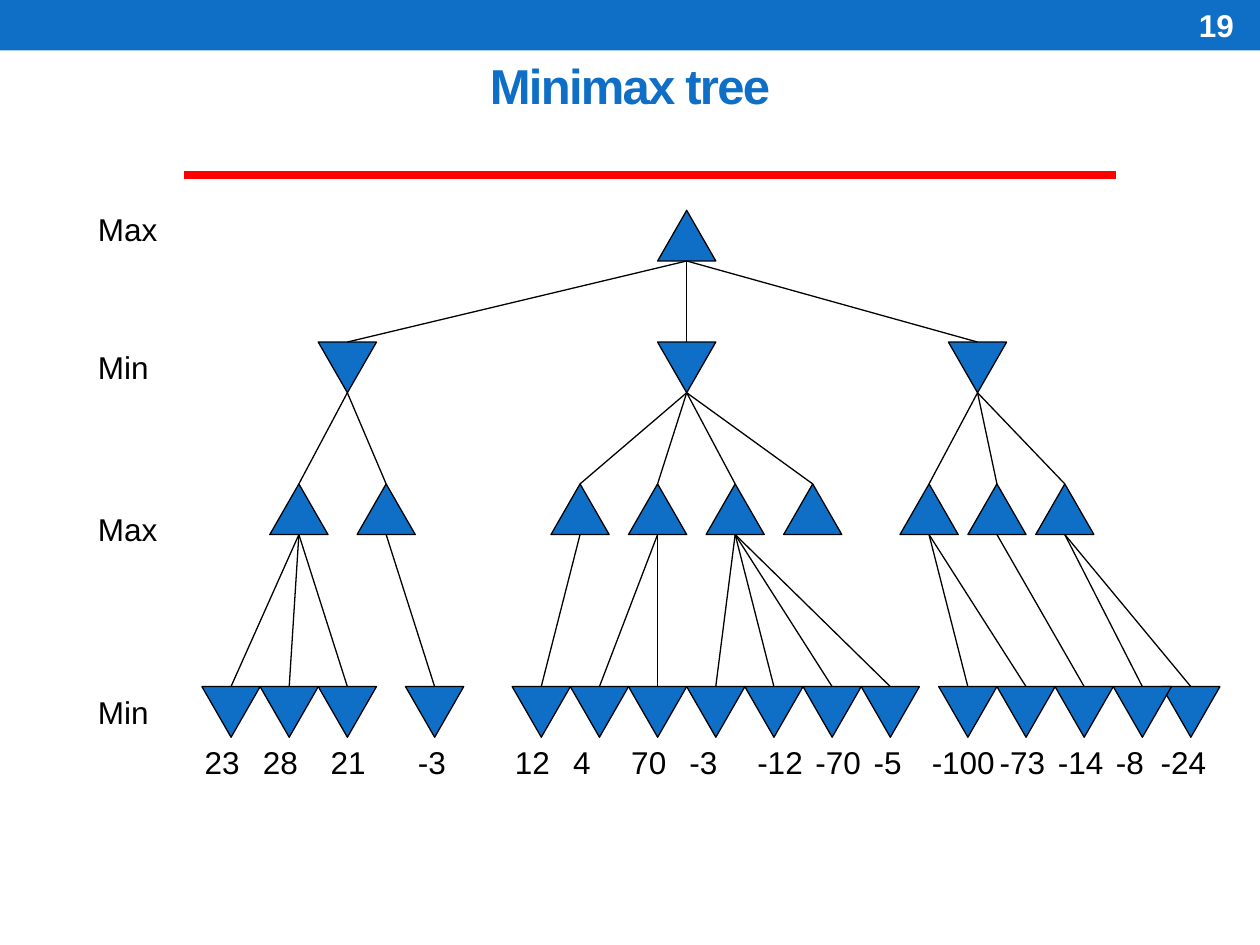
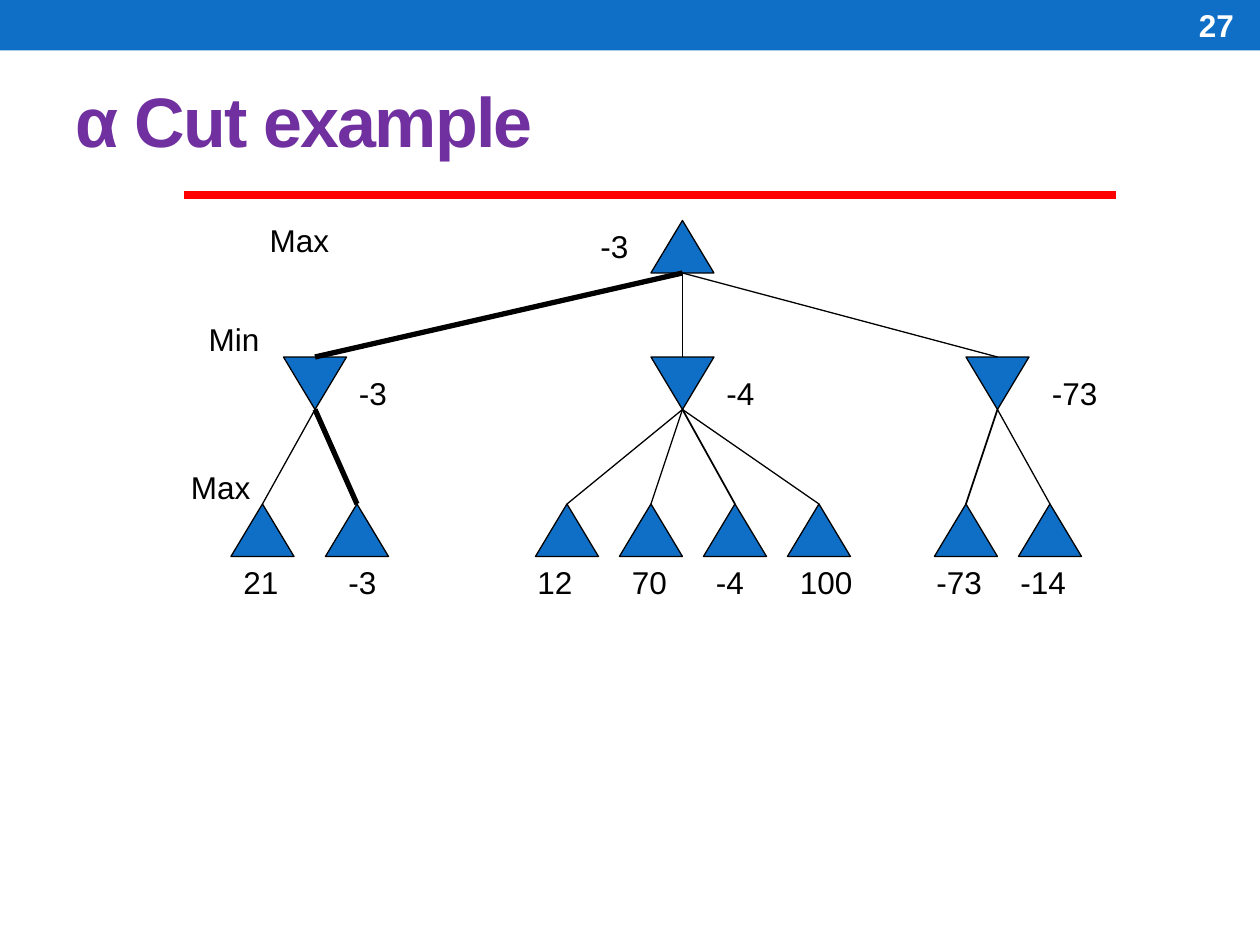
from dataclasses import dataclass

from lxml import etree
from pptx import Presentation
from pptx.dml.color import RGBColor
from pptx.enum.shapes import MSO_CONNECTOR, MSO_SHAPE
from pptx.enum.text import MSO_ANCHOR, MSO_AUTO_SIZE, PP_ALIGN
from pptx.oxml.ns import qn
from pptx.util import Pt

RECT, TRI = MSO_SHAPE.RECTANGLE, MSO_SHAPE.ISOSCELES_TRIANGLE
LINE = MSO_CONNECTOR.STRAIGHT
MID, LOW, TOP = MSO_ANCHOR.MIDDLE, MSO_ANCHOR.BOTTOM, MSO_ANCHOR.TOP
LEFT, MIDST = PP_ALIGN.LEFT, PP_ALIGN.CENTER
GROW = MSO_AUTO_SIZE.SHAPE_TO_FIT_TEXT

# Content: tree positions are grid steps from the tip of the root.
# Each node is (x, index of its parent in the level above).
ROOT = [(0, None)]
MINS = [(-35, 0), (0, 0), (30, 0)]
LEFTS = [(-40, 0), (-31, 0), (-11, 1), (-3, 1), (5, 1), (13, 1)]

SLIDES = [
    dict(
        page="19", title="Minimax tree", size=28, color="blue",
        align=MIDST, anchor=MID, box=(36, 3.6, 648, 90), rule=100,
        root=(392.4, 120.2), step=(5.54, 5.79), scale=1.08, high=35,
        levels=[
            ROOT,
            MINS,
            LEFTS + [(25, 2), (32, 2), (39, 2)],
            [(-47, 0), (-41, 0), (-35, 0), (-26, 1), (-15, 2), (-9, 3),
             (-3, 3), (3, 4), (9, 4), (15, 4), (21, 4), (29, 6), (35, 6),
             (41, 7), (47, 8), (52, 8)],
        ],
        wide={},
        # Rows of labels: (top, [(left, text), ...])
        labels=[
            (-0.6, [(-62, "Max")]),
            (13, [(-62, "Min")]),
            (29, [(-62, "Max")]),
            (47, [(-62, "Min")]),
            (52, [(-51, "23"), (-45, "28"), (-38, "21"), (-29, "-3"),
                  (-19, "12"), (-13, "4"), (-7, "70"), (-1, "-3"),
                  (6, "-12"), (12, "-70"), (18, "-5"), (24, "-100"),
                  (31, "-73"), (37, "-14"), (43, "-8"), (47.6, "-24")]),
        ],
    ),
    dict(
        page="27", title="α Cut example", size=40, color="purple",
        align=LEFT, anchor=LOW, box=(36, 18, 648, 78), rule=111.6,
        root=(390, 126), step=(6, 6), scale=1, high=29,
        levels=[ROOT, MINS, LEFTS + [(27, 2), (35, 2)]],
        # Line widths by (level, index) of the lower node
        wide={(1, 0): 3, (2, 1): 3, (2, 4): 1, (2, 6): 1},
        labels=[
            (-0.5, [(-40.5, "Max")]),
            (0, [(-9, "-3")]),
            (8.9, [(-46.3, "Min")]),
            (14, [(-32, "-3"), (3, "-4"), (34, "-73")]),
            (23, [(-48, "Max")]),
            (32, [(-43, "21"), (-33, "-3"), (-15, "12"), (-6, "70"),
                  (2, "-4"), (10, "100"), (23, "-73"), (31, "-14")]),
        ],
    ),
]

TOPS = (0, 13, 27, 47)   # grid rows of the levels
WIDE, HIGH = 6, 5        # triangle size in grid steps
GLYPH = {"-": 6, "M": 15, "x": 9, "i": 4}  # widths at 18 pt, else 10


@dataclass
class Theme:
    font: str = "Arial"
    blue: str = "0F6FC6"
    purple: str = "7030A0"
    black: str = "000000"
    white: str = "FFFFFF"
    red: str = "FF0000"
    body: float = 18
    thin: float = 0.75
    thick: float = 4.5


THEME = Theme()


def rgb(name):
    return RGBColor.from_string(getattr(THEME, name))


def add_text(slide, text, box, size=THEME.body, color="black", bold=False,
             align=LEFT, anchor=TOP, grow=False):
    shape = slide.shapes.add_textbox(*map(Pt, box))
    frame = shape.text_frame
    frame.word_wrap = not grow
    if grow:
        frame.auto_size = GROW
    frame.vertical_anchor = anchor
    para = frame.paragraphs[0]
    para.alignment = align
    run = para.add_run()
    run.text = text
    font = para.font
    font.name, font.size, font.bold = THEME.font, Pt(size), bold
    font.color.rgb = rgb(color)
    return run


def add_block(slide, kind, box, edge=False):
    shape = slide.shapes.add_shape(kind, *map(Pt, box))
    shape.shadow.inherit = False
    shape.fill.solid()
    shape.fill.fore_color.rgb = rgb("blue")
    if edge:
        shape.line.color.rgb = rgb("black")
        shape.line.width = Pt(THEME.thin)
    else:
        shape.line.fill.background()
    return shape


def add_line(slide, start, end, color="black", width=THEME.thin):
    line = slide.shapes.add_connector(LINE, *map(Pt, (*start, *end)))
    line.line.color.rgb = rgb(color)
    line.line.width = Pt(width)
    etree.SubElement(line._element.spPr, qn("a:effectLst"))


def add_frame(slide, data):
    # Band, title, red rule and page number
    add_block(slide, RECT, (0, 0, 720, 28.8))
    run = add_text(slide, data["title"], data["box"], data["size"],
                   data["color"], True, data["align"], data["anchor"])
    run._r.get_or_add_rPr().set("spc", "-100")
    add_line(slide, (105, data["rule"]), (638, data["rule"]),
             "red", THEME.thick)
    add_text(slide, data["page"], (678, 1.4, 42, 26), color="white",
             bold=True, anchor=MID)


def add_tree(slide, data):
    (left, top), (dx, dy) = data["root"], data["step"]
    levels = data["levels"]

    def spot(x, y):
        return left + x * dx, top + y * dy

    # Triangles: Max points up, Min points down; left ones lie on top
    for depth, nodes in enumerate(levels):
        for x, _ in reversed(nodes):
            box = (*spot(x - WIDE / 2, TOPS[depth]), WIDE * dx, HIGH * dy)
            shape = add_block(slide, TRI, box, edge=True)
            shape.rotation = 180 * (depth % 2)

    # Branches run from the foot of a parent to the head of its child
    for depth, nodes in enumerate(levels[1:], 1):
        for i, (x, up) in enumerate(nodes):
            start = spot(levels[depth - 1][up][0], TOPS[depth - 1] + HIGH)
            add_line(slide, start, spot(x, TOPS[depth]),
                     width=data["wide"].get((depth, i), THEME.thin))

    # Labels
    for y, row in data["labels"]:
        for x, text in row:
            width = sum(GLYPH.get(c, 10) for c in text) + 14.4
            add_text(slide, text,
                     (*spot(x, y), width * data["scale"], data["high"]),
                     grow=True)


def main():
    deck = Presentation()
    deck.slide_width, deck.slide_height = Pt(720), Pt(540)
    for data in SLIDES:
        slide = deck.slides.add_slide(deck.slide_layouts[6])
        add_frame(slide, data)
        add_tree(slide, data)
    deck.save("out.pptx")


if __name__ == "__main__":
    main()
